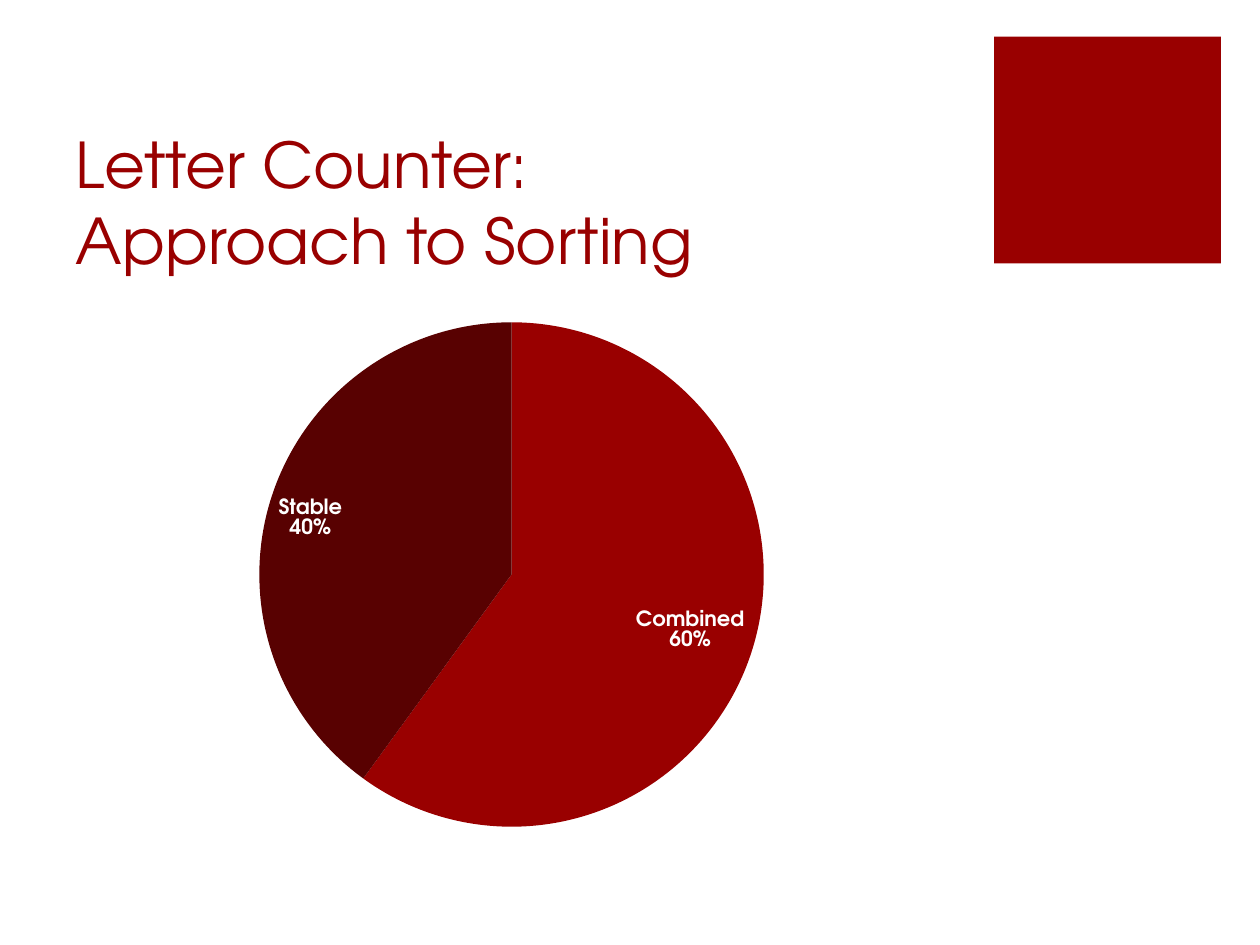
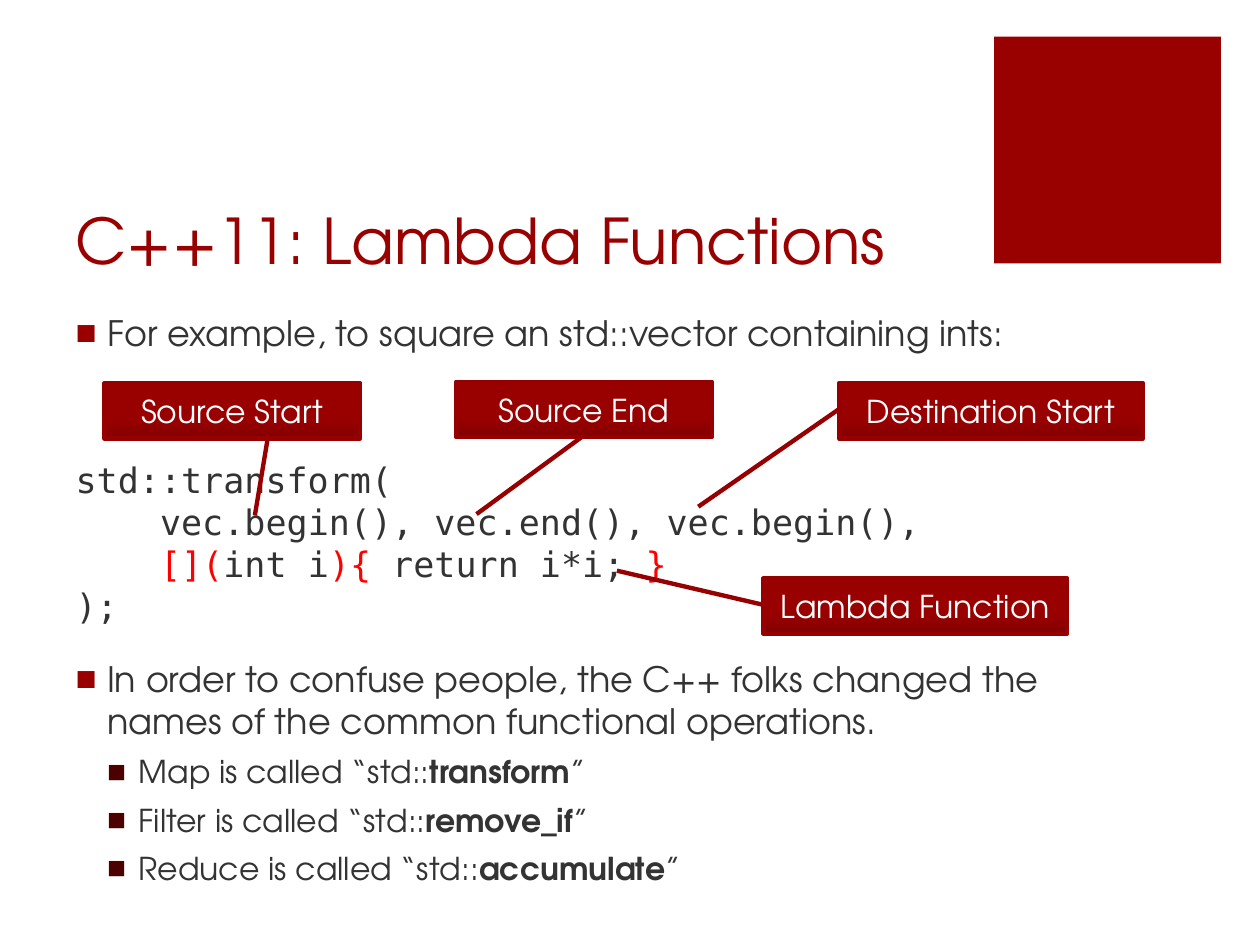
from dataclasses import dataclass
from lxml.etree import SubElement
from pptx import Presentation
from pptx.chart.data import CategoryChartData
from pptx.dml.color import RGBColor as Rgb
from pptx.enum.chart import XL_CHART_TYPE as ChartType, XL_LABEL_POSITION as LabelPosition
from pptx.enum.shapes import MSO_SHAPE as Shape
from pptx.enum.text import MSO_ANCHOR as Anchor, MSO_AUTO_SIZE as AutoSize, PP_ALIGN as Align
from pptx.oxml.ns import qn
from pptx.util import Inches, Pt


@dataclass(frozen=True)
class Theme:
    red: str = "990000"
    dark_red: str = "580101"
    sub_bullet: str = "4C0000"
    shade: str = "830000"
    outline: str = "960000"
    code_red: str = "FF0000"
    text: str = "333333"
    white: str = "FFFFFF"
    font: str = "TeX Gyre Adventor"
    code_font: str = "DejaVu Sans Mono"
    title_size: int = 36
    body_size: int = 20
    sub_size: int = 18
    label_size: int = 12


theme = Theme()


def style_font(font, size, color, bold=False, name=theme.font):
    font.name = name
    font.size = Pt(size)
    font.bold = bold
    font.color.rgb = Rgb.from_string(color)


def add_span(para, text, *style, **options):
    span = para.add_run()
    span.text = text
    style_font(span.font, *style, **options)


deck = Presentation()
deck.slide_width, deck.slide_height = Inches(10), Inches(7.5)

TITLE_ONLY, TITLE_AND_CONTENT = 5, 1
pages = []
for layout, title_lines in [
    (TITLE_ONLY, ["Letter Counter:", "Approach to Sorting"]),
    (TITLE_AND_CONTENT, ["C++11: Lambda Functions"]),
]:
    page = deck.slides.add_slide(deck.slide_layouts[layout])
    pages.append(page)

    square = page.shapes.add_shape(
        Shape.RECTANGLE, Inches(7.89), Inches(0.29), Inches(1.8), Inches(1.8))
    square.shadow.inherit = False
    square.fill.solid()
    square.fill.fore_color.rgb = Rgb.from_string(theme.red)
    square.line.fill.background()

    title = page.shapes.title
    title.left, title.top = Inches(0.5), Inches(1)
    title.width, title.height = Inches(7.12), Inches(1.25)
    title.text_frame.auto_size = AutoSize.NONE
    title.text_frame.vertical_anchor = Anchor.BOTTOM
    para = title.text_frame.paragraphs[0]
    para.alignment = Align.LEFT
    for number, line in enumerate(title_lines):
        if number:
            para.add_line_break()
        add_span(para, line, theme.title_size, theme.red)

sorting_page, lambda_page = pages

sorting = CategoryChartData()
sorting.categories = ["Combined", "Stable"]
sorting.add_series("Series 1", [60, 40])
chart = sorting_page.shapes.add_chart(
    ChartType.PIE, Inches(0.5), Inches(2.42), Inches(7.12), Inches(4.28), sorting).chart
chart.has_legend = False
chart.has_title = False
chart.font.name = theme.font
chart.font.size = Pt(10)
chart.plots[0].vary_by_categories = True
series = chart.plots[0].series[0]
for number, color in enumerate([theme.red, theme.dark_red]):
    wedge = series.points[number].format
    wedge.fill.solid()
    wedge.fill.fore_color.rgb = Rgb.from_string(color)
    wedge.line.fill.background()
labels = series.data_labels
labels.show_value = False
labels.show_category_name = True
labels.show_percentage = True
labels.position = LabelPosition.INSIDE_END
style_font(labels.font, theme.label_size, theme.white, bold=True)
separator = SubElement(labels._element, qn("c:separator"))
separator.text = "\n"
labels._element.find(qn("c:showBubbleSize")).addnext(separator)

body = lambda_page.placeholders[1]
body.left, body.top = Inches(0.5), Inches(2.42)
body.width, body.height = Inches(8.01), Inches(4.7)
frame = body.text_frame
frame.auto_size = AutoSize.NONE

TOP = dict(level=0, size=theme.body_size, font=theme.font, bullet=theme.red, indent=0.25, before=18)
SUB = dict(level=1, size=theme.sub_size, font=theme.font, bullet=theme.sub_bullet, indent=0.5, before=6)
CODE = dict(level=0, size=theme.body_size, font=theme.code_font, bullet=None, indent=0, before=0)
CODE_START = CODE | dict(before=60)
CODE_INNER = CODE | dict(indent=0.67)

plain, accent = (theme.text, False), (theme.code_red, False)
strong = (theme.text, True)
paragraphs = [
    (TOP, [("For example, to square an std::vector containing ints:", plain)]),
    (CODE_START, [("std::transform(", plain)]),
    (CODE_INNER, [("vec.begin(), vec.end(), vec.begin(),", plain)]),
    (CODE_INNER, [("[](", accent), ("int i", plain), ("){", accent),
                  (" return i*i; ", plain), ("}", accent)]),
    (CODE, [(");", plain)]),
    (TOP, [("In order to confuse people, the C++ folks changed the names "
            "of the common functional operations.", plain)]),
]
for operation, name in [("Map", "transform"), ("Filter", "remove_if"), ("Reduce", "accumulate")]:
    paragraphs.append((SUB, [(f"{operation} is called \u201cstd::", plain),
                             (name, strong), ("\u201d", plain)]))

for number, (look, spans) in enumerate(paragraphs):
    para = frame.add_paragraph() if number else frame.paragraphs[0]
    para.level = look["level"]
    para.alignment = Align.LEFT
    para.space_before = Pt(look["before"])
    properties = para._p.get_or_add_pPr()
    properties.set("marL", str(Inches(look["indent"])))
    if look["bullet"]:
        properties.set("indent", str(Inches(-0.25)))
        bullet_color = SubElement(properties, qn("a:buClr"))
        SubElement(bullet_color, qn("a:srgbClr"), val=look["bullet"])
        SubElement(properties, qn("a:buFont"), typeface="Arial")
        SubElement(properties, qn("a:buChar"), char="\u25a0")
    else:
        para.line_spacing = Pt(24)
        properties.set("indent", "0")
        SubElement(properties, qn("a:buNone"))
    for text, (color, bold) in spans:
        add_span(para, text, look["size"], color, bold=bold, name=look["font"])

for text, left, top, width, pointer in [
    ("Source Start", 0.83, 3.04, 2.03, (1.03, 0.637, 2.388, 0.588)),
    ("Source End", 3.62, 3.03, 2.03, (0.951, 0.505, 2.388, 0.08)),
    ("Destination Start", 6.66, 3.04, 2.41, (0.477, -0.002, 2.23, -0.464)),
    ("Lambda Function", 6.06, 4.59, 2.41, (0.477, -0.002, -0.138, -0.483)),
]:
    callout = lambda_page.shapes.add_shape(
        Shape.LINE_CALLOUT_1, Inches(left), Inches(top), Inches(width), Inches(0.44))
    for number, value in enumerate(pointer):
        callout.adjustments[number] = value
    callout.shadow.inherit = False
    callout.fill.gradient()
    callout.fill.gradient_angle = 90
    shade, main = callout.fill.gradient_stops
    shade.color.rgb = Rgb.from_string(theme.shade)
    main.color.rgb = Rgb.from_string(theme.red)
    main.position = 0.35
    callout.line.color.rgb = Rgb.from_string(theme.outline)
    callout.line.width = Pt(2.5)
    callout.text_frame.vertical_anchor = Anchor.MIDDLE
    para = callout.text_frame.paragraphs[0]
    para.alignment = Align.CENTER
    add_span(para, text, theme.sub_size, theme.white)

deck.save("out.pptx")
